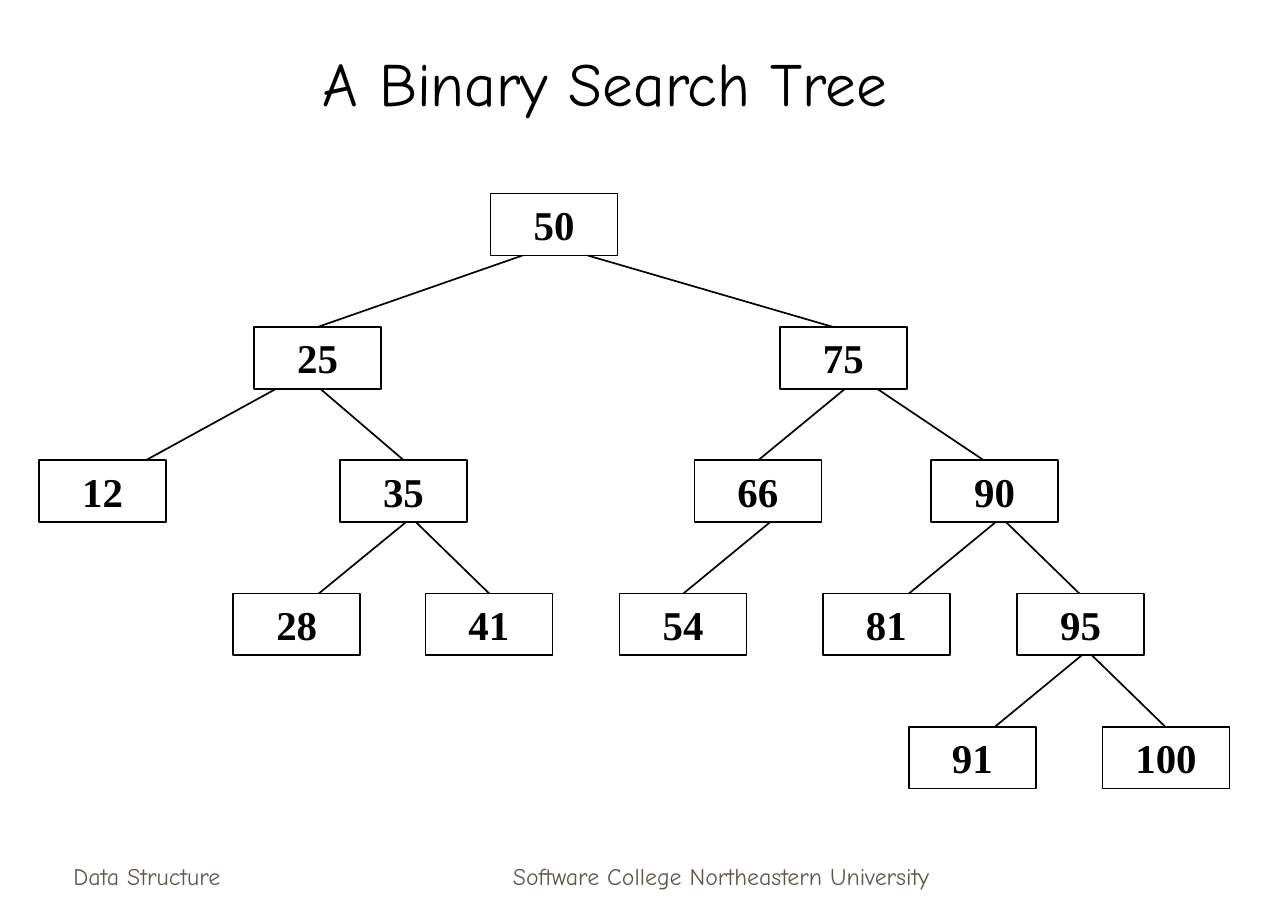
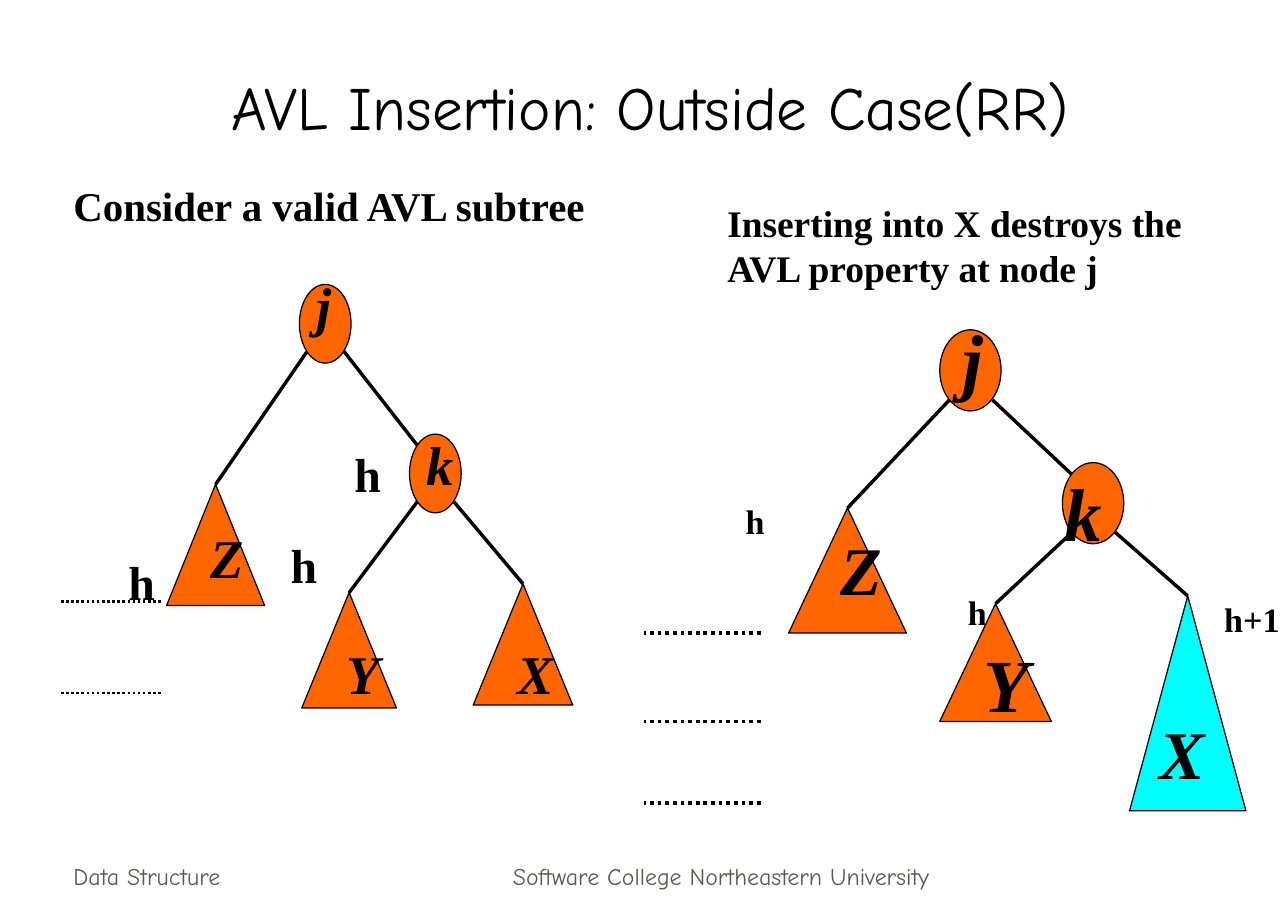
from lxml import etree
from pptx import Presentation
from pptx.dml.color import RGBColor
from pptx.enum.dml import MSO_LINE
from pptx.enum.shapes import MSO_CONNECTOR, MSO_SHAPE
from pptx.enum.text import MSO_ANCHOR, PP_ALIGN
from pptx.oxml.ns import qn
from pptx.util import Cm, Pt

RECT, OVAL = MSO_SHAPE.RECTANGLE, MSO_SHAPE.OVAL
CONE = MSO_SHAPE.ISOSCELES_TRIANGLE
LINE = MSO_CONNECTOR.STRAIGHT
DOT = MSO_LINE.ROUND_DOT
LEFT, MID = PP_ALIGN.LEFT, PP_ALIGN.CENTER
TOP, CENTER, BOTTOM = MSO_ANCHOR.TOP, MSO_ANCHOR.MIDDLE, MSO_ANCHOR.BOTTOM

BLACK = RGBColor(0x00, 0x00, 0x00)
GREY = RGBColor(0x5E, 0x57, 0x4E)
ORANGE = RGBColor(0xFF, 0x66, 0x00)
CYAN = RGBColor(0x00, 0xFF, 0xFF)
HAND, SERIF = "Comic Neue", "Times New Roman"

# Search tree grid, in cm
BOX_W, BOX_H = 2.63, 1.28
ROW_TOP, ROW_STEP = 4.01, 2.76

# Value, row, left edge, and the link's x at the parent and at the node
NODES = [
    (50, 0, 10.16, None, None),
    (25, 1, 5.26, 10.82, 6.58),
    (75, 1, 16.15, 12.17, 17.25),
    (12, 2, 0.81, 5.72, 3.02),
    (35, 2, 7.04, 6.63, 8.36),
    (66, 2, 14.38, 17.5, 15.7),
    (90, 2, 19.28, 18.16, 20.37),
    (28, 3, 4.83, 8.41, 6.6),
    (41, 3, 8.81, 8.61, 10.13),
    (54, 3, 12.83, 15.95, 14.15),
    (81, 3, 17.04, 20.62, 18.82),
    (95, 3, 21.06, 20.83, 22.35),
    (91, 4, 18.82, 22.4, 20.6),
    (100, 4, 22.83, 22.61, 24.13),
]

# Subtree drawings: cones are left, top, width, height, fill, link start;
# names are text, left, top, size
BEFORE = {
    "oval": (1.07, 1.63),
    "spots": [(6.2, 5.89), (8.48, 8.99)],
    "link": (7.11, 7.26, 8.64, 9.22),
    "cones": [
        (3.45, 10.03, 2.03, 2.51, ORANGE, (6.35, 7.29)),
        (6.25, 12.27, 1.96, 2.39, ORANGE, (8.64, 10.39)),
        (9.8, 12.09, 2.06, 2.51, ORANGE, (9.4, 10.39)),
    ],
    "names": [("j", 6.3, 5.51, 32), ("k", 8.59, 8.81, 32),
              ("Z", 4.11, 10.72, 32), ("Y", 6.93, 13.13, 32),
              ("X", 10.46, 13.13, 32)],
    "highs": [("h", 7.09, 9.09, 28), ("h", 2.41, 11.33, 28),
              ("h", 5.77, 10.97, 28)],
    "dots": (1.27, 3.33, 1.5, (12.45, 14.35)),
}
AFTER = {
    "oval": (1.27, 1.68),
    "spots": [(19.46, 6.83), (22, 9.58)],
    "link": (20.55, 8.28, 22.2, 9.83),
    "cones": [
        (16.33, 10.52, 2.44, 2.59, ORANGE, (19.66, 8.28)),
        (19.46, 12.5, 2.31, 2.44, ORANGE, (22.2, 11.02)),
        (23.39, 12.34, 2.41, 4.45, CYAN, (23.09, 11.02)),
    ],
    "names": [("j", 19.69, 6.35, 44), ("k", 21.79, 9.53, 44),
              ("Z", 17.15, 10.8, 40), ("Y", 20.12, 13.08, 44),
              ("X", 23.77, 14.61, 40)],
    "highs": [("h", 15.19, 10.24, 20), ("h+1", 25.1, 12.27, 20),
              ("h", 19.79, 12.12, 20)],
    "dots": (13.34, 15.75, 2.25, (13.11, 14.94, 16.62)),
}


def write(shape, text, size, face=SERIF, color=BLACK, bold=False,
          slant=False, align=LEFT, anchor=TOP):
    frame = shape.text_frame
    frame.text = text
    frame.word_wrap = True
    frame.vertical_anchor = anchor
    para = frame.paragraphs[0]
    para.alignment = align
    font = para.runs[0].font
    font.name, font.size = face, Pt(size)
    font.bold, font.italic = bold, slant
    font.color.rgb = color


def place(shape, left, top, width, height):
    shape.left, shape.top = Cm(left), Cm(top)
    shape.width, shape.height = Cm(width), Cm(height)


def add_text(slide, text, box, size, **style):
    shape = slide.shapes.add_textbox(*map(Cm, box))
    write(shape, text, size, **style)
    return shape


def add_name(slide, text, left, top, size, slant):
    """A letter or height mark in a box as tall as its line."""
    high = round(size * 0.04 + 0.35, 2)
    shape = add_text(slide, text, (left, top, 1.57, high), size,
                     bold=True, slant=slant)
    shape.text_frame.margin_right = 0


def add_form(slide, kind, box, fill=None, width=0.75):
    shape = slide.shapes.add_shape(kind, *map(Cm, box))
    shape.shadow.inherit = False
    if fill is None:
        shape.fill.background()
    else:
        shape.fill.solid()
        shape.fill.fore_color.rgb = fill
    shape.line.color.rgb = BLACK
    shape.line.width = Pt(width)
    return shape


def add_link(slide, ends, width, dash=None):
    link = slide.shapes.add_connector(LINE, *map(Cm, ends))
    link.line.color.rgb = BLACK
    link.line.width = Pt(width)
    if dash:
        link.line.dash_style = dash
    etree.SubElement(link._element.spPr, qn("a:effectLst"))


def add_page(deck, title, box, anchor):
    """A slide with the shared title style and footers."""
    slide = deck.slides.add_slide(deck.slide_layouts[5])
    head = slide.shapes.title
    place(head, *box)
    write(head, title, 36, face=HAND, align=MID, anchor=anchor)
    for text, left, width, align in [
        ("Data Structure", 1.27, 5.56, LEFT),
        ("Software College Northeastern University", 9.12, 11.63, MID),
    ]:
        add_text(slide, text, (left, 17.3, width, 1.27), 14, face=HAND,
                 color=GREY, align=align, anchor=BOTTOM)
    return slide


def add_tree(slide):
    for value, row, left, start, end in NODES:
        top = ROW_TOP + row * ROW_STEP
        if start:
            above = top - ROW_STEP + BOX_H
            add_link(slide, (start, above, end, top), 1)
        box = add_form(slide, RECT, (left, top, BOX_W, BOX_H), width=1)
        write(box, str(value), 24, bold=True, align=MID)


def add_case(slide, case):
    # Links and shapes
    add_link(slide, case["link"], 2)
    for spot in case["spots"]:
        add_form(slide, OVAL, spot + case["oval"], ORANGE)
    for left, top, width, height, fill, start in case["cones"]:
        add_form(slide, CONE, (left, top, width, height), fill)
        add_link(slide, (*start, left + width / 2, top), 2)
    # Level marks
    left, right, width, levels = case["dots"]
    for level in levels:
        add_link(slide, (right, level, left, level), width, DOT)
    # Letters and heights
    for kind in ("names", "highs"):
        for item in case[kind]:
            add_name(slide, *item, slant=kind == "names")


def main():
    deck = Presentation()
    deck.slide_width, deck.slide_height = Cm(26.67), Cm(19.05)

    # Search tree
    slide = add_page(deck, "A Binary Search Tree",
                     (1.19, 0.64, 22.68, 2.11), CENTER)
    add_tree(slide)

    # Outside case, before and after the insertion
    slide = add_page(deck, "AVL Insertion: Outside Case(RR)",
                     (2.08, 0.84, 22.78, 2.24), BOTTOM)
    add_text(slide, "Consider a valid AVL subtree",
             (1.27, 3.61, 12.7, 1.27), 24, bold=True)
    add_text(slide, "Inserting into X destroys the AVL property at node j",
             (14.81, 4.01, 10.8, 2.13), 22, bold=True)
    for case in (BEFORE, AFTER):
        add_case(slide, case)

    deck.save("out.pptx")


if __name__ == "__main__":
    main()
